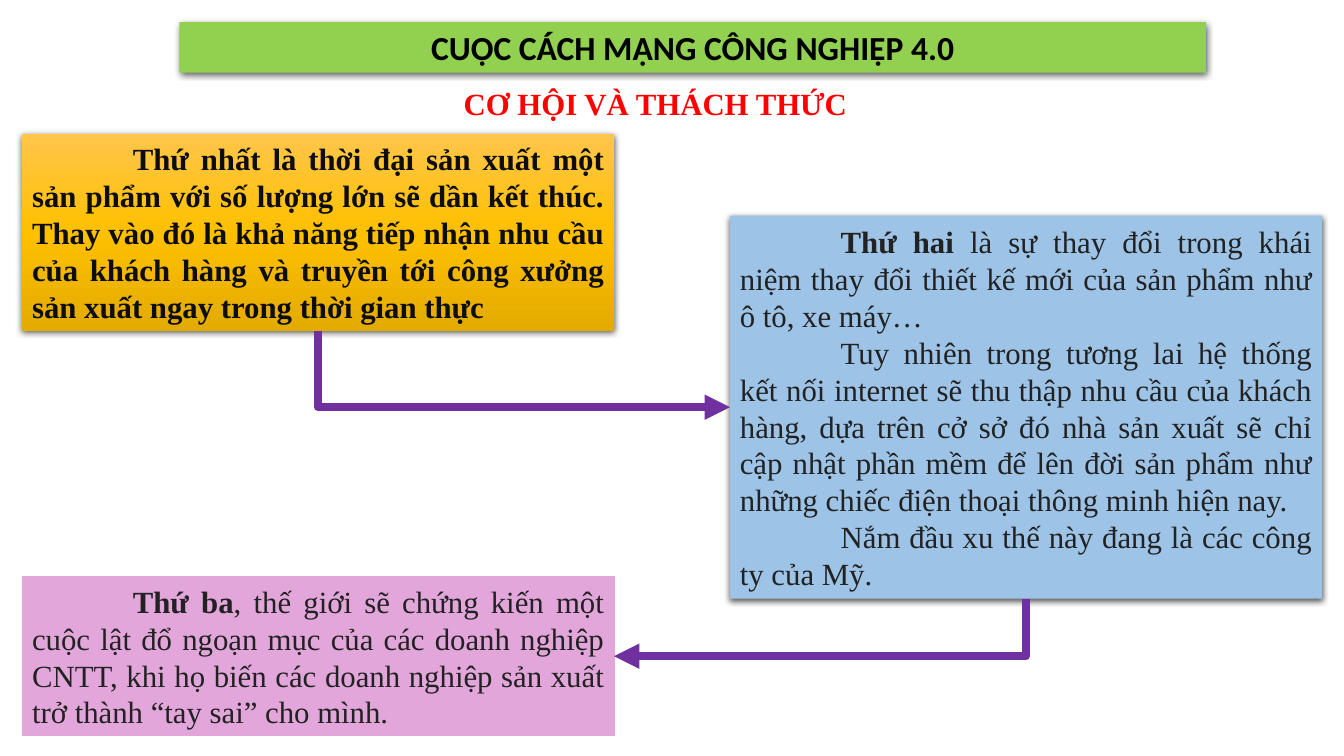
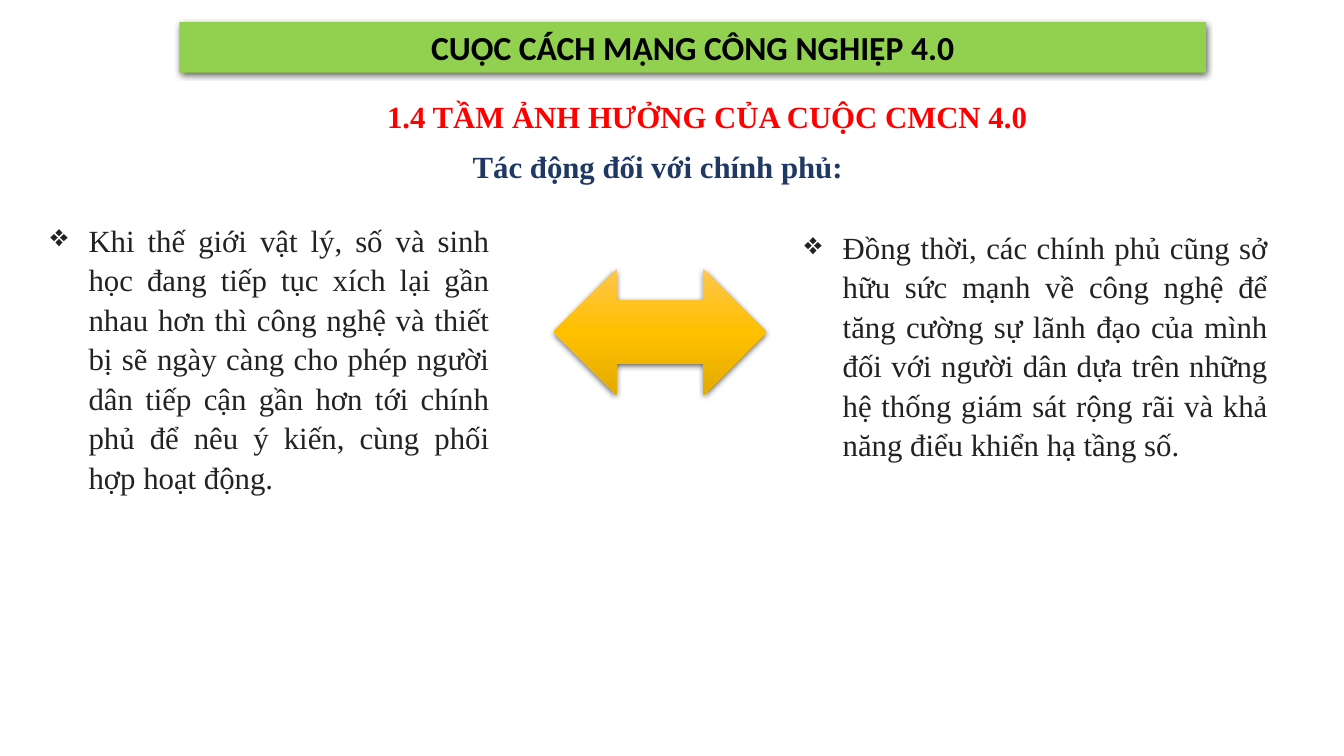
from dataclasses import dataclass
from typing import NamedTuple

from lxml.etree import SubElement
from pptx import Presentation
from pptx.dml.color import RGBColor
from pptx.enum.shapes import MSO_CONNECTOR, MSO_SHAPE
from pptx.enum.text import MSO_ANCHOR, MSO_AUTO_SIZE, PP_ALIGN
from pptx.oxml.ns import qn
from pptx.util import Pt

PX = 9144  # EMU per px, 100 px to the inch


@dataclass(frozen=True)
class Theme:
    band: str = "92D050"
    band_text: str = "000000"
    heading: str = "FF0000"
    subheading: str = "203864"
    body: str = "222222"
    strong: str = "0D0D0D"
    gold: tuple = ((0, "FFC64B"), (50, "FFC000"), (100, "E3AB00"))
    sky: str = "9DC3E6"
    orchid: str = "E2A6DB"
    arrow: str = "7030A0"
    shadow: str = "000000"
    title_font: str = "Calibri"
    text_font: str = "Times New Roman"
    title_size: int = 24
    text_size: int = 22
    arrow_width: int = 6


THEME = Theme()


class Box(NamedTuple):
    left: int
    top: int
    width: int
    height: int

    def emu(self):
        return [length * PX for length in self]


class Span(NamedTuple):
    text: str
    bold: bool = False


@dataclass(frozen=True)
class Card:
    box: Box
    fill: str | tuple
    paragraphs: list
    color: str = THEME.body
    border: str = ""
    shadow: bool = True


@dataclass(frozen=True)
class BulletText:
    box: Box
    text: str


TITLE = "CUỘC CÁCH MẠNG CÔNG NGHIỆP 4.0"
TITLE_BOX = Box(178, 22, 1018, 50)

CARDS = [
    Card(Box(22, 133, 587, 195), THEME.gold, [[Span(
        "Thứ nhất là thời đại sản xuất một sản phẩm với số lượng lớn sẽ dần kết thúc. "
        "Thay vào đó là khả năng tiếp nhận nhu cầu của khách hàng và truyền tới công xưởng "
        "sản xuất ngay trong thời gian thực", True)]], color=THEME.strong),
    Card(Box(724, 214, 587, 380), THEME.sky, [
        [Span("Thứ hai", True),
         Span(" là sự thay đổi trong khái niệm thay đổi thiết kế mới của sản phẩm "
              "như ô tô, xe máy…")],
        [Span("Tuy nhiên trong tương lai hệ thống kết nối internet sẽ thu thập nhu cầu của "
              "khách hàng, dựa trên cở sở đó nhà sản xuất sẽ chỉ cập nhật phần mềm để lên đời "
              "sản phẩm như những chiếc điện thoại thông minh hiện nay.")],
        [Span("Nắm đầu xu thế này đang là các công ty của Mỹ.")]]),
    Card(Box(22, 572, 587, 158), THEME.orchid, [
        [Span("Thứ ba", True),
         Span(", thế giới sẽ chứng kiến một cuộc lật đổ ngoạn mục của các doanh nghiệp CNTT, "
              "khi họ biến các doanh nghiệp sản xuất trở thành “tay sai” cho mình.")]],
        border=THEME.orchid, shadow=False),
]

IMPACTS = [
    BulletText(Box(40, 212, 455, 287),
               "Khi thế giới vật lý, số và sinh học đang tiếp tục xích lại gần nhau hơn thì "
               "công nghệ và thiết bị sẽ ngày càng cho phép người dân tiếp cận gần hơn tới "
               "chính phủ để nêu ý kiến, cùng phối hợp hoạt động."),
    BulletText(Box(788, 219, 479, 248),
               "Đồng thời, các chính phủ cũng sở hữu sức mạnh về công nghệ để tăng cường sự "
               "lãnh đạo của mình đối với người dân dựa trên những hệ thống giám sát rộng rãi "
               "và khả năng điểu khiển hạ tầng số."),
]


def write(frame, paragraphs, *, color=THEME.body, size=THEME.text_size, font=THEME.text_font,
          align=PP_ALIGN.LEFT, margin=0, indent=0, bullet="", line_spacing=None, after=None,
          wrap=True, anchor=MSO_ANCHOR.TOP, fit=MSO_AUTO_SIZE.SHAPE_TO_FIT_TEXT):
    """Fill a text frame; each paragraph is a list of spans."""
    frame.word_wrap = wrap
    frame.auto_size = fit
    frame.vertical_anchor = anchor
    for number, spans in enumerate(paragraphs):
        paragraph = frame.add_paragraph() if number else frame.paragraphs[0]
        properties = paragraph._p.get_or_add_pPr()
        properties.set("marL", str(margin * PX))
        properties.set("indent", str(indent * PX))
        if bullet:
            SubElement(properties, qn("a:buChar"), char=bullet)
        paragraph.alignment = align
        if line_spacing:
            paragraph.line_spacing = line_spacing
        if after:
            paragraph.space_after = Pt(after)
        for span in spans:
            run = paragraph.add_run()
            run.text = span.text
            run.font.name = font
            run.font.size = Pt(size)
            run.font.bold = span.bold
            run.font.color.rgb = RGBColor.from_string(color)


def paint(shape, fill: str | tuple, border: str = "", shadow: bool = True) -> None:
    """Set a solid or gradient fill, the outline and the soft shadow."""
    if isinstance(fill, str):
        shape.fill.solid()
        shape.fill.fore_color.rgb = RGBColor.from_string(fill)
    else:
        shape.fill.gradient()
        shape.fill.gradient_angle = 270
        stops = shape._element.spPr.find(".//" + qn("a:gsLst"))
        for stop in list(stops):
            stops.remove(stop)
        for percent, color in fill:
            stop = SubElement(stops, qn("a:gs"), pos=str(percent * 1000))
            SubElement(stop, qn("a:srgbClr"), val=color)
    if border:
        shape.line.color.rgb = RGBColor.from_string(border)
        shape.line.width = Pt(0.5)
    else:
        shape.line.fill.background()
    shape.shadow.inherit = False
    if shadow:
        effects = shape._element.spPr.find(qn("a:effectLst"))
        outer = SubElement(effects, qn("a:outerShdw"), blurRad=str(Pt(4.5)),
                           dist=str(Pt(1.5)), dir="5400000", algn="ctr", rotWithShape="0")
        tint = SubElement(outer, qn("a:srgbClr"), val=THEME.shadow)
        SubElement(tint, qn("a:alpha"), val="63000")


def add_titled_slide(deck):
    slide = deck.slides.add_slide(deck.slide_layouts[5])
    title = slide.shapes.title
    title.left, title.top, title.width, title.height = TITLE_BOX.emu()
    paint(title, THEME.band)
    write(title.text_frame, [[Span(TITLE, True)]], color=THEME.band_text,
          size=THEME.title_size, font=THEME.title_font, align=PP_ALIGN.CENTER,
          anchor=MSO_ANCHOR.MIDDLE, fit=MSO_AUTO_SIZE.NONE)
    return slide


def add_text(slide, box: Box, spans: list, **style) -> None:
    write(slide.shapes.add_textbox(*box.emu()).text_frame, [spans], **style)


def add_card(slide, card: Card):
    shape = slide.shapes.add_shape(MSO_SHAPE.RECTANGLE, *card.box.emu())
    paint(shape, card.fill, card.border, card.shadow)
    write(shape.text_frame, card.paragraphs, color=card.color, align=PP_ALIGN.JUSTIFY,
          indent=100, anchor=MSO_ANCHOR.MIDDLE)
    return shape


def add_bent_arrow(slide, source, target) -> None:
    """Run down from the source's bottom, then sideways into the target."""
    rightward = target.left > source.left
    arrow = slide.shapes.add_connector(MSO_CONNECTOR.ELBOW, 0, 0, 0, 0)
    arrow.begin_connect(source, 2)
    arrow.end_connect(target, 1 if rightward else 3)
    arrow.line.color.rgb = RGBColor.from_string(THEME.arrow)
    arrow.line.width = Pt(THEME.arrow_width)
    properties = arrow._element.spPr
    properties.find(qn("a:prstGeom")).set("prst", "bentConnector2")
    # A quarter turn about the centre swaps width and height
    across, down = arrow.width, arrow.height
    arrow.left += (across - down) // 2
    arrow.top += (down - across) // 2
    arrow.width, arrow.height = down, across
    properties.xfrm.rot = 270 if rightward else 90
    properties.xfrm.flipH = rightward
    properties.xfrm.flipV = False
    SubElement(properties.find(qn("a:ln")), qn("a:tailEnd"), type="triangle")
    SubElement(properties, qn("a:effectLst"))


def build_opportunities(deck) -> None:
    slide = add_titled_slide(deck)
    add_text(slide, Box(400, 79, 501, 47), [Span("CƠ HỘI VÀ THÁCH THỨC", True)],
             color=THEME.heading, margin=50)
    cards = [add_card(slide, card) for card in CARDS]
    for source, target in zip(cards, cards[1:]):
        add_bent_arrow(slide, source, target)


def build_government_impact(deck) -> None:
    slide = add_titled_slide(deck)
    add_text(slide, Box(324, 92, 1009, 47),
             [Span("1.4 TẦM ẢNH HƯỞNG CỦA CUỘC CMCN 4.0", True)],
             color=THEME.heading, margin=50)
    add_text(slide, Box(459, 139, 391, 50), [Span("Tác động đối với chính phủ:", True)],
             color=THEME.subheading, line_spacing=1.07, after=8, wrap=False)
    for impact in IMPACTS:
        add_text(slide, impact.box, [Span(impact.text)], align=PP_ALIGN.JUSTIFY,
                 margin=38, indent=-38, bullet="❖", line_spacing=1.07, after=8)
    # Two-way arrow between the impacts
    exchange = slide.shapes.add_shape(MSO_SHAPE.LEFT_RIGHT_ARROW, *Box(549, 267, 211, 125).emu())
    paint(exchange, THEME.gold)


def main() -> None:
    deck = Presentation()
    deck.slide_width, deck.slide_height = 1333 * PX, 750 * PX
    build_opportunities(deck)
    build_government_impact(deck)
    deck.save("out.pptx")


if __name__ == "__main__":
    main()
